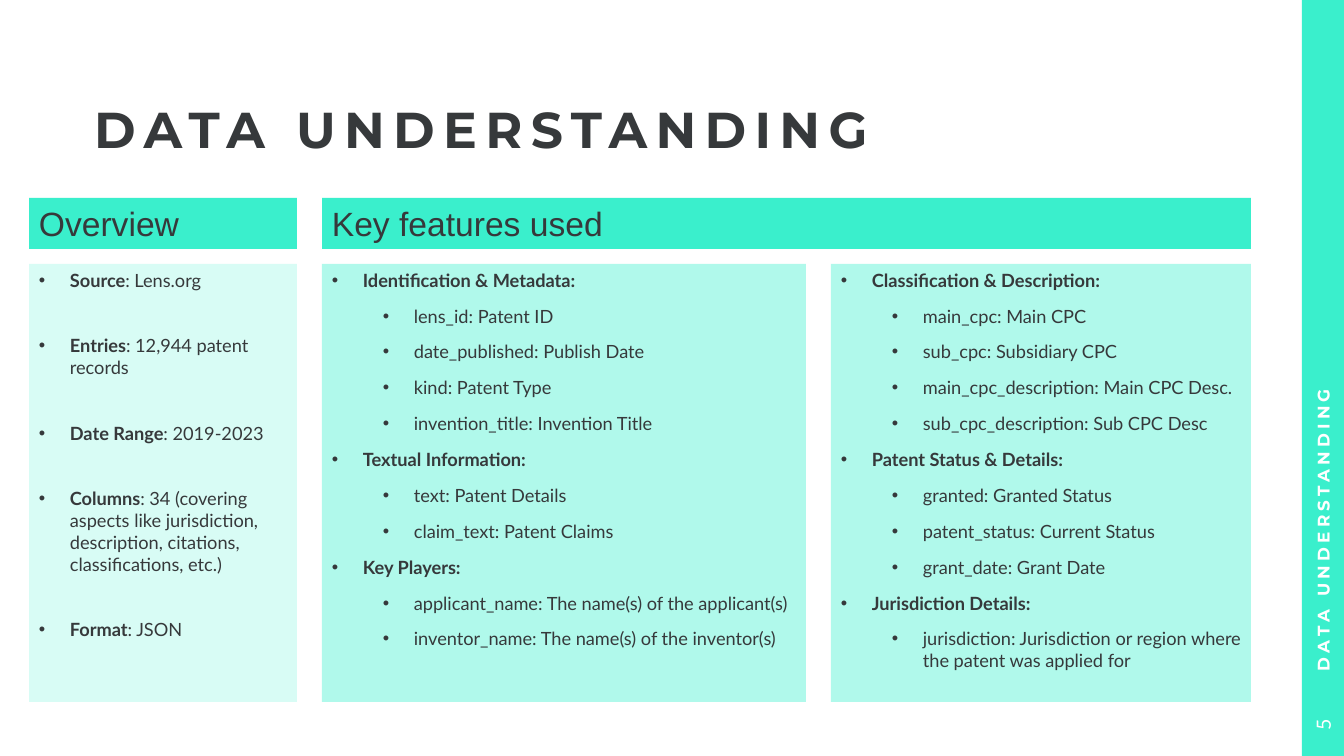
from lxml.etree import SubElement
from pptx import Presentation
from pptx.dml.color import RGBColor
from pptx.enum.shapes import MSO_SHAPE as Preset
from pptx.enum.text import MSO_ANCHOR as Anchor, PP_ALIGN as Align
from pptx.oxml.ns import qn
from pptx.util import Emu, Pt

EMU_PER_PX = 914400 / 100.8
WIDTH, HEIGHT = 1344, 756
INK, WHITE = "36393B", "FFFFFF"
TEAL, MINT, PALE = "3AEFCC", "B0F9EB", "D8FCF5"
GROUP_INDENT, FIELD_INDENT, HANGING = 31, 82, 31

OVERVIEW = [
    ("Source", ": Lens.org"),
    ("Entries", ": 12,944 patent records"),
    ("Date Range", ": 2019-2023"),
    ("Columns", ": 34 (covering aspects like jurisdiction, description, "
                "citations, classifications, etc.)"),
    ("Format", ": JSON"),
]
CONTENT_FEATURES = [
    ("Identification & Metadata:", [
        "lens_id: Patent ID",
        "date_published: Publish Date",
        "kind: Patent Type",
        "invention_title: Invention Title"]),
    ("Textual Information:", [
        "text: Patent Details",
        "claim_text: Patent Claims"]),
    ("Key Players:", [
        "applicant_name: The name(s) of the applicant(s)",
        "inventor_name: The name(s) of the inventor(s)"]),
]
STATUS_FEATURES = [
    ("Classification & Description:", [
        "main_cpc: Main CPC",
        "sub_cpc: Subsidiary CPC",
        "main_cpc_description: Main CPC Desc.",
        "sub_cpc_description: Sub CPC Desc"]),
    ("Patent Status & Details:", [
        "granted: Granted Status",
        "patent_status: Current Status",
        "grant_date: Grant Date"]),
    ("Jurisdiction Details:", [
        "jurisdiction: Jurisdiction or region where the patent was applied for"]),
]


def px(length):
    """Turn pixels into EMU."""
    return Emu(round(length * EMU_PER_PX))


def color(value):
    """Turn a hex string into a colour."""
    return RGBColor.from_string(value)


def add_span(para, text, font, size, ink=INK, bold=False, spacing=0):
    """Append one formatted run to a paragraph."""
    span = para.add_run()
    span.text = text
    span.font.name, span.font.size, span.font.bold = font, Pt(size), bold
    span.font.color.rgb = color(ink)
    if spacing:
        span.font._element.set("spc", str(spacing * 100))


def add_panel(page, box, fill):
    """Draw a filled rectangle and return its text frame."""
    panel = page.shapes.add_shape(Preset.RECTANGLE, *map(px, box))
    panel.shadow.inherit = False
    panel.fill.solid()
    panel.fill.fore_color.rgb = color(fill)
    panel.line.fill.background()
    frame = panel.text_frame
    frame.word_wrap, frame.vertical_anchor = True, Anchor.TOP
    frame.paragraphs[0].alignment = Align.LEFT
    return frame


def add_label(page, box, rotation=0):
    """Add a text box that fills the given area and return its text frame."""
    left, top, width, height = box
    if rotation:
        left += (width - height) / 2
        top += (height - width) / 2
        width, height = height, width
    label = page.shapes.add_textbox(*map(px, (left, top, width, height)))
    label.rotation = rotation
    frame = label.text_frame
    frame.word_wrap, frame.vertical_anchor = True, Anchor.MIDDLE
    return frame


def add_bullet(frame, spans, indent, gap):
    """Append a bulleted paragraph made of (text, bold) spans."""
    para = frame.paragraphs[0]
    if para.runs:
        para = frame.add_paragraph()
        para.space_before = Pt(gap)
    para.alignment = Align.LEFT
    props = para._p.get_or_add_pPr()
    props.set("marL", str(px(indent)))
    props.set("indent", str(-px(HANGING)))
    SubElement(props, qn("a:buFont"), typeface="Arial")
    SubElement(props, qn("a:buChar"), char="•")
    for text, bold in spans:
        add_span(para, text, "Lato", 13, bold=bold)


def add_title(page, box):
    """Write the slide title."""
    frame = add_label(page, box)
    frame.margin_left = frame.margin_right = 0
    frame.margin_top = frame.margin_bottom = 0
    para = frame.paragraphs[0]
    para.line_spacing = 0.9
    add_span(para, "DATA UNDERSTANDING", "Montserrat", 36, bold=True, spacing=6)


def add_sidebar(page, box):
    """Draw the side band with the section name and page number."""
    left, top, width, height = box
    add_panel(page, box, TEAL)
    section = add_label(page, (left, top, width, height - 62), 270)
    section.margin_left = px(23)
    add_span(section.paragraphs[0], "DATA UNDERSTANDING", "Montserrat", 12,
             WHITE, bold=True, spacing=3)
    number = add_label(page, (left, top + height - 62, width, 62), 270)
    number.paragraphs[0].alignment = Align.CENTER
    add_span(number.paragraphs[0], "5", "Lato", 14, WHITE)


def add_heading(page, box, text):
    """Draw a heading bar."""
    frame = add_panel(page, box, TEAL)
    add_span(frame.paragraphs[0], text, "Arial", 24)


def add_overview(page, box):
    """Draw the panel of facts about the data set."""
    frame = add_panel(page, box, PALE)
    for term, detail in OVERVIEW:
        add_bullet(frame, [(term, True), (detail, False)], GROUP_INDENT, 31.2)


def add_features(page, box, groups):
    """Draw a panel of feature groups with their fields."""
    frame = add_panel(page, box, MINT)
    for group, fields in groups:
        add_bullet(frame, [(group, True)], GROUP_INDENT, 10)
        for field in fields:
            add_bullet(frame, [(field, False)], FIELD_INDENT, 10)


def add_columns(page, box):
    """Lay out the headings and the three panels below them."""
    left, top, width, height = box
    overview_width, content_width, gap, bar, bar_gap = 268, 484, 25, 51, 15
    features_left = left + overview_width + gap
    features_width = left + width - features_left
    status_left = features_left + content_width + gap
    status_width = left + width - status_left
    body_top = top + bar + bar_gap
    body_height = height - bar - bar_gap
    add_heading(page, (left, top, overview_width, bar), "Overview")
    add_heading(page, (features_left, top, features_width, bar),
                "Key features used")
    add_overview(page, (left, body_top, overview_width, body_height))
    add_features(page, (features_left, body_top, content_width, body_height),
                 CONTENT_FEATURES)
    add_features(page, (status_left, body_top, status_width, body_height),
                 STATUS_FEATURES)


def main():
    """Build the deck and save it."""
    deck = Presentation()
    deck.slide_width, deck.slide_height = px(WIDTH), px(HEIGHT)
    page = deck.slides.add_slide(deck.slide_layouts[6])
    add_sidebar(page, (1302, 0, 42, HEIGHT))
    add_title(page, (94, 97, 1116, 71))
    add_columns(page, (29, 198, 1222, 504))
    deck.save("out.pptx")


if __name__ == "__main__":
    main()
